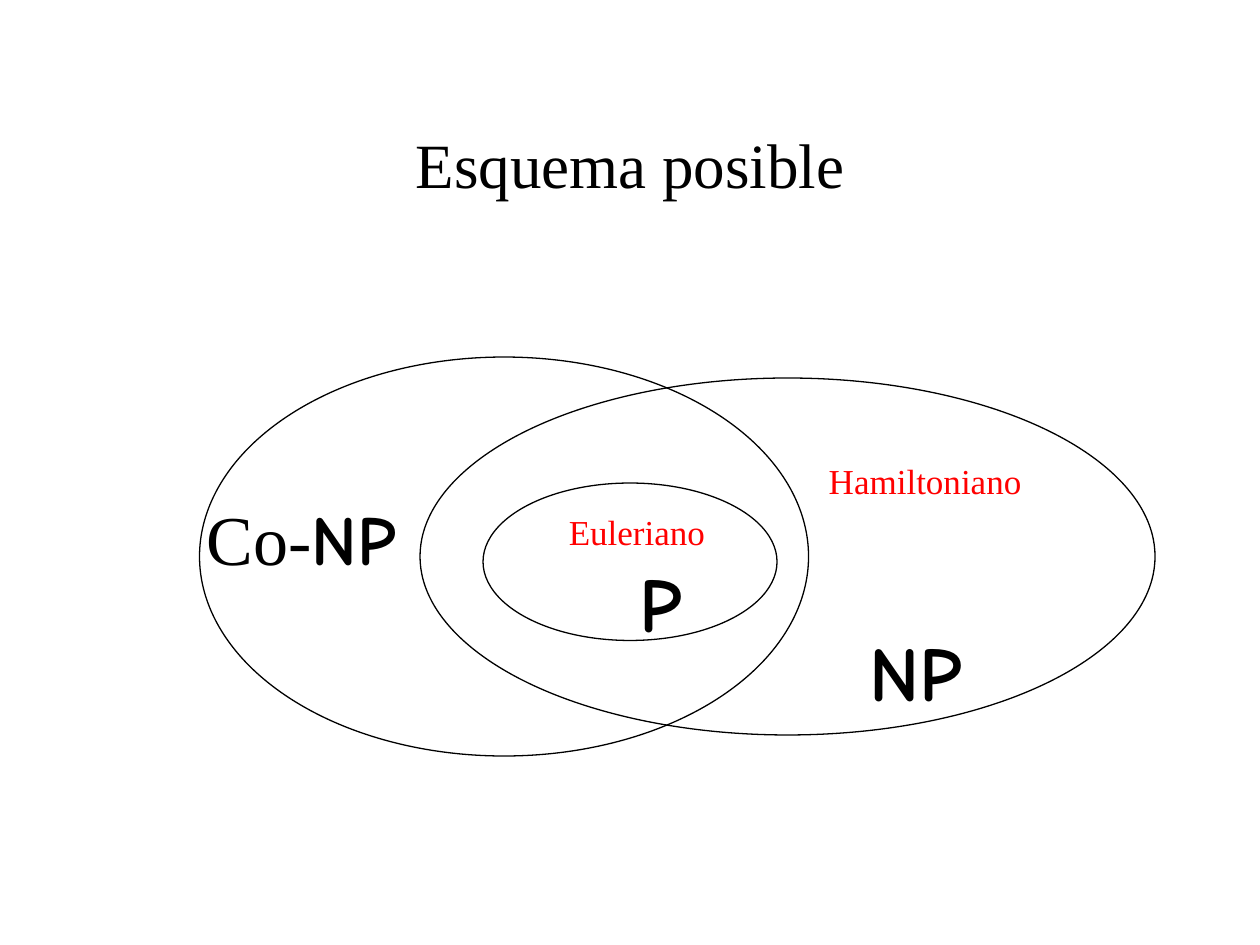
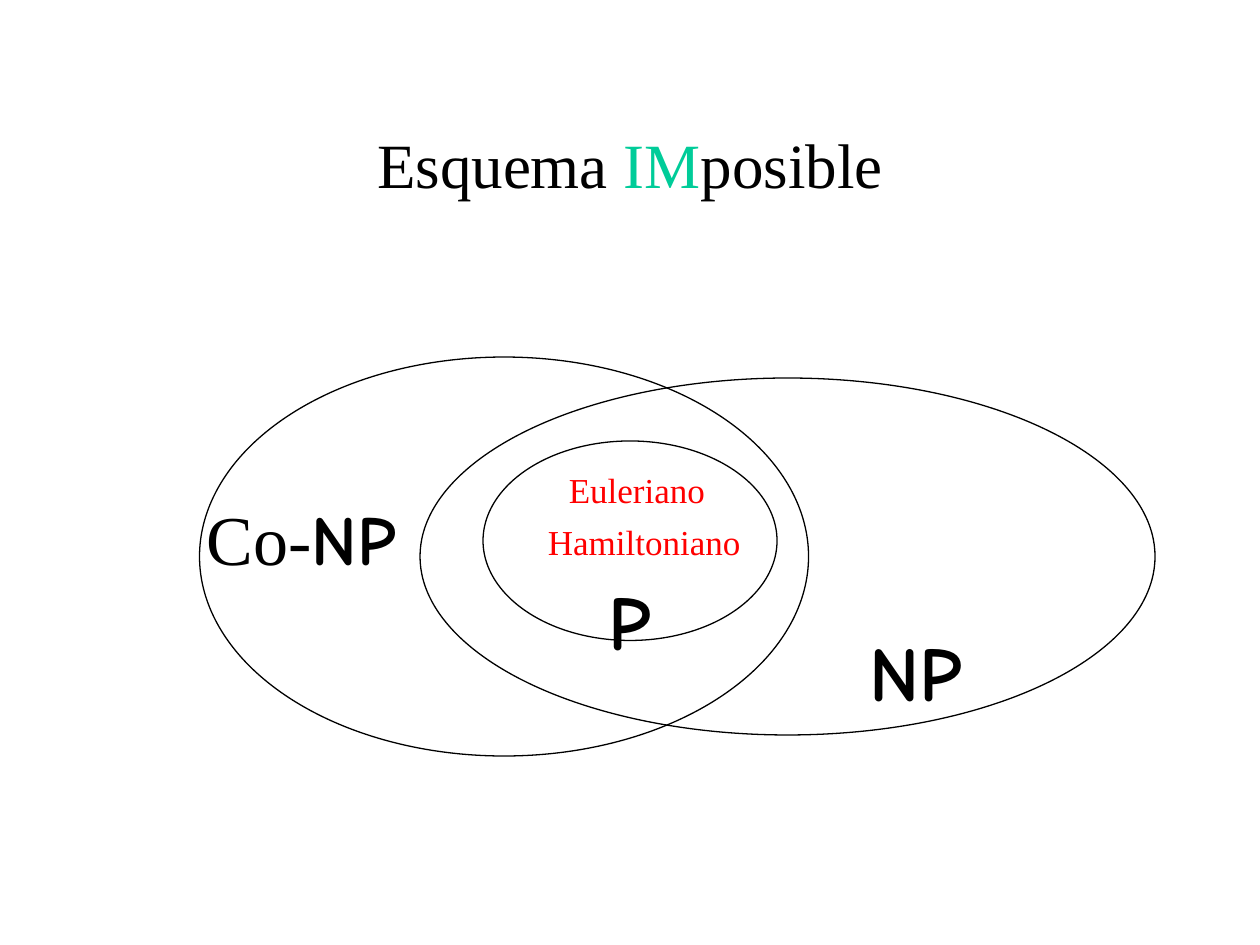
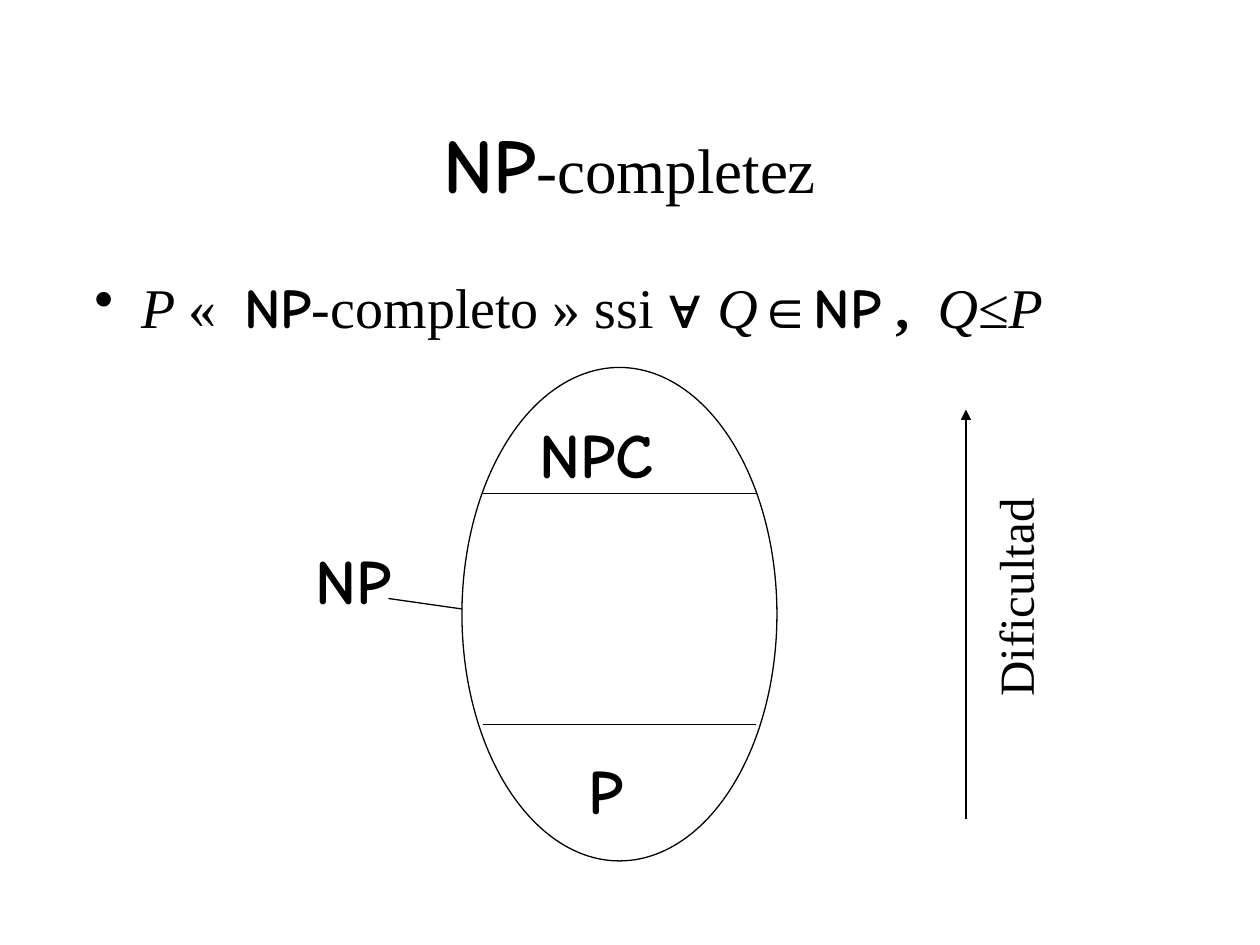
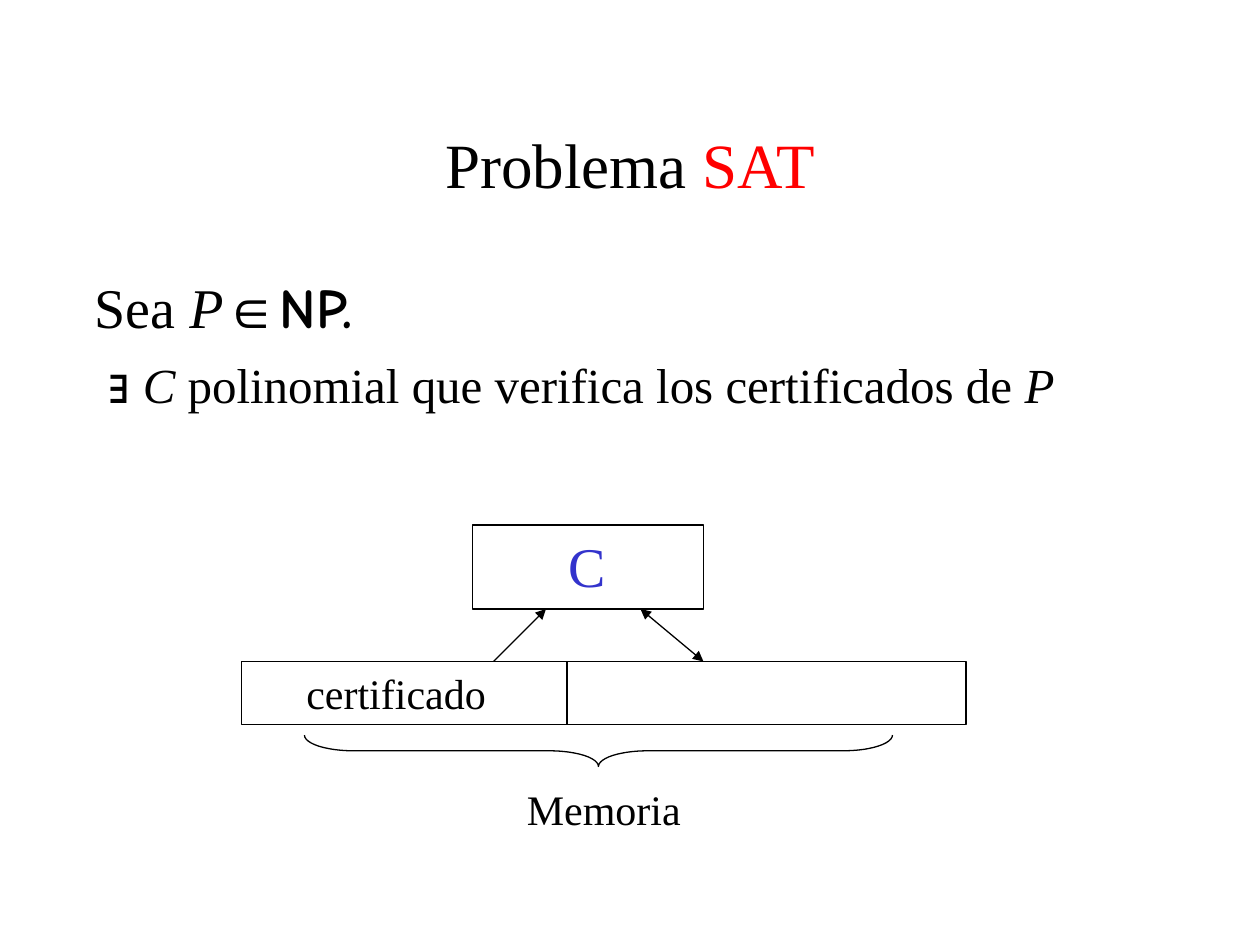
from dataclasses import dataclass

from lxml.etree import SubElement
from pptx import Presentation
from pptx.dml.color import RGBColor
from pptx.enum.shapes import MSO_CONNECTOR, MSO_SHAPE
from pptx.enum.text import MSO_ANCHOR, PP_ALIGN
from pptx.oxml.ns import qn
from pptx.util import Pt

COLORS = {
    "ink": "000000",
    "red": "FF0000",
    "green": "00CC99",
    "blue": "3333CC",
}
SERIF, COMIC, SANS = "Times New Roman", "Comic Neue", "Arial"
LINE_WIDTH = 0.74
HANGING = 26.64


@dataclass(frozen=True)
class Run:
    """A stretch of text in one format."""
    text: str
    size: float
    font: str = SERIF
    color: str = "ink"
    bold: bool = False
    italic: bool = False


@dataclass(frozen=True)
class Box:
    """A rectangle on the slide, in points."""
    x: float
    y: float
    w: float
    h: float

    def lengths(self):
        """Return left, top, width and height."""
        return Pt(self.x), Pt(self.y), Pt(self.w), Pt(self.h)


@dataclass(frozen=True)
class Label:
    """A text label with its frame."""
    box: Box
    runs: tuple[Run, ...]
    rotation: float = 0


@dataclass(frozen=True)
class Line:
    """A straight line with optional arrowheads."""
    x1: float
    y1: float
    x2: float
    y2: float
    head: bool = False
    tail: bool = False


@dataclass(frozen=True)
class Item:
    """A body paragraph with its first-line indent."""
    runs: tuple[Run, ...]
    bullet: bool = False
    indent: float = -HANGING


TITLE = Box(54, 36.72, 612, 113.04)
BODY = Box(54, 156, 612, 334)


def comic(text: str, size: float) -> Run:
    """Return a run in the lettering of the complexity classes."""
    return Run(text, size, COMIC, bold=True)


def italic(text: str, size: float) -> Run:
    """Return an italic serif run."""
    return Run(text, size, italic=True)


def write(p, runs: tuple[Run, ...]) -> None:
    """Fill a paragraph with formatted runs."""
    for run in runs:
        r = p.add_run()
        r.text = run.text
        r.font.size = Pt(run.size)
        r.font.name = run.font
        r.font.bold = run.bold
        r.font.italic = run.italic
        r.font.color.rgb = RGBColor.from_string(COLORS[run.color])


def add_frame(s, box: Box, left: float = 0, top: float = 0):
    """Add a wrapping text box and return it."""
    sp = s.shapes.add_textbox(*box.lengths())
    tf = sp.text_frame
    tf.word_wrap = True
    tf.margin_left, tf.margin_top = Pt(left), Pt(top)
    tf.margin_right = tf.margin_bottom = Pt(0)
    return sp


def add_title(s, *runs: Run) -> None:
    """Add the centred slide title."""
    tf = add_frame(s, TITLE).text_frame
    tf.vertical_anchor = MSO_ANCHOR.MIDDLE
    p = tf.paragraphs[0]
    p.alignment = PP_ALIGN.CENTER
    write(p, runs)


def add_body(s, *items: Item) -> None:
    """Add the body paragraphs."""
    tf = add_frame(s, BODY).text_frame
    for i, item in enumerate(items):
        p = tf.add_paragraph() if i else tf.paragraphs[0]
        p.space_before = Pt(7.9)
        pPr = p._p.get_or_add_pPr()
        pPr.set("marL", str(Pt(HANGING)))
        pPr.set("indent", str(Pt(item.indent)))
        if item.bullet:
            SubElement(pPr, qn("a:buChar")).set("char", "•")
        write(p, item.runs)


def add_label(s, label: Label) -> None:
    """Add a text label."""
    sp = add_frame(s, label.box, 7.2, 3.6)
    sp.rotation = label.rotation
    write(sp.text_frame.paragraphs[0], label.runs)


def add_outline(s, kind: MSO_SHAPE, box: Box):
    """Add an unfilled shape with a thin outline."""
    sp = s.shapes.add_shape(kind, *box.lengths())
    sp.shadow.inherit = False
    sp.fill.background()
    sp.line.color.rgb = RGBColor.from_string(COLORS["ink"])
    sp.line.width = Pt(LINE_WIDTH)
    return sp


def add_line(s, line: Line) -> None:
    """Add a straight connector."""
    cx = s.shapes.add_connector(
        MSO_CONNECTOR.STRAIGHT, Pt(line.x1), Pt(line.y1), Pt(line.x2), Pt(line.y2))
    cx.line.color.rgb = RGBColor.from_string(COLORS["ink"])
    cx.line.width = Pt(LINE_WIDTH)
    ln = cx.line._get_or_add_ln()
    for tag, wanted in (("a:headEnd", line.head), ("a:tailEnd", line.tail)):
        if wanted:
            SubElement(ln, qn(tag)).set("type", "triangle")
    SubElement(cx._element.spPr, qn("a:effectLst"))


def add_venn(s, p_set: Box, p_label: Box, euler: tuple[float, float],
             hamilton: tuple[float, float]) -> None:
    """Draw the classes Co-NP, NP and P with the two problems."""
    for box in (Box(114, 204, 348, 228), Box(240, 216, 420, 204), p_set):
        add_outline(s, MSO_SHAPE.OVAL, box)
    labels = (
        Label(Box(111, 279.5, 144, 55.5), (Run("Co-", 40), comic("NP", 40))),
        Label(Box(489.5, 353.5, 89.5, 60.5), (comic("NP", 44),)),
        Label(p_label, (comic("P", 44),)),
        Label(Box(*euler, 92, 31.5), (Run("Euleriano", 20, color="red"),)),
        Label(Box(*hamilton, 124.5, 31.5), (Run("Hamiltoniano", 20, color="red"),)),
    )
    for label in labels:
        add_label(s, label)


def possible_slide(s) -> None:
    """Build the possible scheme."""
    add_title(s, Run("Esquema posible", 36))
    add_venn(s, Box(276, 276, 168, 90), Box(358.5, 314, 53.5, 60.5),
             (318, 288), (466.5, 259))


def impossible_slide(s) -> None:
    """Build the impossible scheme."""
    add_title(s, Run("Esquema ", 36), Run("IM", 36, color="green"), Run("posible", 36))
    add_venn(s, Box(276, 252, 168, 114), Box(340.5, 324, 53.5, 60.5),
             (318, 264), (306, 294))


def completeness_slide(s) -> None:
    """Build the NP-completeness slide."""
    add_title(s, comic("NP", 44), Run("-completez", 36))
    add_body(s, Item((
        italic("P ", 32), Run("«\u00a0 ", 32), comic("NP", 32),
        Run("-completo\u00a0» ssi ", 32), Run("∀ ", 32, SANS), italic("Q", 32),
        Run("∈", 32, SANS), comic("NP", 32), Run(" ,\u00a0 ", 32, bold=True),
        italic("Q≤P", 32)), bullet=True))
    add_outline(s, MSO_SHAPE.OVAL, Box(264, 210, 180, 282))
    for line in (
        Line(276, 414, 432, 414),
        Line(276, 282, 432, 282),
        Line(552, 468, 552, 234, tail=True),
        Line(222, 342, 264, 348),
    ):
        add_line(s, line)
    for label in (
        Label(Box(329, 426, 46, 50.5), (comic("P", 36),)),
        Label(Box(301, 234, 98.5, 50.5), (comic("NPC", 36),)),
        Label(Box(516, 321, 127.5, 41), (Run("Dificultad", 28),), 270),
        Label(Box(173, 306, 75.5, 50.5), (comic("NP", 36),)),
    ):
        add_label(s, label)


def sat_slide(s) -> None:
    """Build the SAT slide with its verifier and memory."""
    add_title(s, Run("Problema ", 36), Run("SAT", 36, color="red"))
    add_body(
        s,
        Item((Run("Sea ", 32), italic("P", 32), Run("∈", 32, SANS), comic("NP.", 32))),
        Item((Run("∃ ", 28, SANS), italic("C", 28),
              Run(" polinomial que verifica los certificados de ", 28),
              italic("P", 28)), indent=8 - HANGING))
    for box in (Box(138, 378, 414, 36), Box(270, 300, 132, 48)):
        add_outline(s, MSO_SHAPE.RECTANGLE, box)
    brace = add_outline(s, MSO_SHAPE.LEFT_BRACE, Box(333, 261, 18, 336))
    brace.rotation = 270
    brace.adjustments[0] = 1.56
    for line in (
        Line(324, 414, 324, 378),
        Line(366, 348, 402, 378, head=True, tail=True),
        Line(282, 378, 312, 348, tail=True),
    ):
        add_line(s, line)
    for label in (
        Label(Box(318, 300, 35.5, 46), (Run("C", 32, color="blue"),)),
        Label(Box(168, 378, 117, 36), (Run("certificado", 24),)),
        Label(Box(294, 444, 102, 36), (Run("Memoria", 24),)),
    ):
        add_label(s, label)


def main() -> None:
    """Build and save the presentation."""
    prs = Presentation()
    prs.slide_width, prs.slide_height = Pt(720), Pt(540)
    for build in (possible_slide, impossible_slide, completeness_slide, sat_slide):
        build(prs.slides.add_slide(prs.slide_layouts[6]))
    prs.save("out.pptx")


main()
